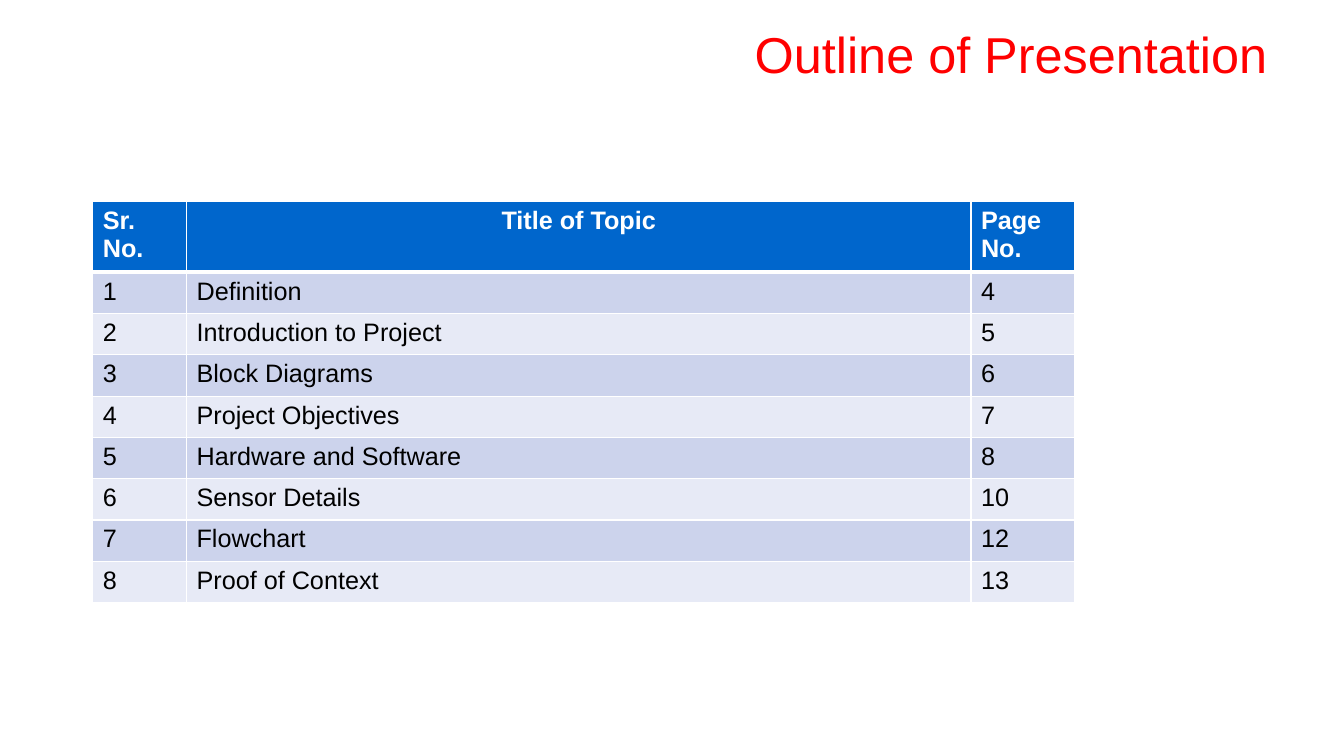
from dataclasses import dataclass
from typing import NamedTuple

from lxml.etree import SubElement
from pptx import Presentation
from pptx.dml.color import RGBColor
from pptx.enum.text import MSO_ANCHOR as Anchor, PP_ALIGN as Align
from pptx.oxml.ns import qn
from pptx.slide import Slide
from pptx.table import _Cell as Cell
from pptx.text.text import _Paragraph as Paragraph
from pptx.util import Inches, Pt


@dataclass(frozen=True)
class Theme:
    """Colours, font and type sizes of the slide."""
    font: str = "Arial"
    title_size: int = 36
    table_size: int = 18
    title: str = "FF0000"
    header: str = "0066CC"
    header_text: str = "FFFFFF"
    body_text: str = "000000"
    bands: tuple[str, str] = ("CCD3EC", "E7EAF6")
    border: str = "FFFFFF"
    thin: int = 1
    thick: int = 3


class Topic(NamedTuple):
    """One entry of the outline."""
    title: str
    page: int


THEME = Theme()
HEADINGS = ("Sr. No.", "Title of Topic", "Page No.")
COLUMN_WIDTHS = (0.93, 7.78, 1.03)
HEADER_HEIGHT, ROW_HEIGHT = 0.7, 0.41
TOPICS = (
    Topic("Definition", 4),
    Topic("Introduction to Project", 5),
    Topic("Block Diagrams", 6),
    Topic("Project Objectives", 7),
    Topic("Hardware and Software", 8),
    Topic("Sensor Details", 10),
    Topic("Flowchart", 12),
    Topic("Proof of Context", 13),
)


def write(paragraph: Paragraph, text: str, size: int, color: str,
          bold: bool = False, align: Align = Align.LEFT) -> None:
    """Put styled text into a paragraph."""
    paragraph.text = text
    paragraph.alignment = align
    paragraph.font.name = THEME.font
    paragraph.font.size = Pt(size)
    paragraph.font.bold = bold
    paragraph.font.color.rgb = RGBColor.from_string(color)


def add_borders(cell: Cell, top: int, bottom: int) -> None:
    """Draw the four borders of a cell, with widths in points."""
    properties = cell._tc.get_or_add_tcPr()
    widths = {"a:lnL": THEME.thin, "a:lnR": THEME.thin, "a:lnT": top, "a:lnB": bottom}
    for tag, width in widths.items():
        line = SubElement(properties, qn(tag), w=str(Pt(width)))
        fill = SubElement(line, qn("a:solidFill"))
        SubElement(fill, qn("a:srgbClr"), val=THEME.border)


def add_title(slide: Slide, text: str) -> None:
    """Add the right-aligned slide title."""
    box = slide.shapes.add_textbox(Inches(0.67), Inches(0.21), Inches(12), Inches(0.64))
    frame = box.text_frame
    frame.word_wrap = True
    frame.vertical_anchor = Anchor.MIDDLE
    write(frame.paragraphs[0], text, THEME.title_size, THEME.title, align=Align.RIGHT)


def add_outline(slide: Slide, topics: tuple[Topic, ...]) -> None:
    """Add the table of numbered topics and their pages."""
    rows = [HEADINGS] + [
        (str(number), topic.title, str(topic.page))
        for number, topic in enumerate(topics, start=1)
    ]
    heights = [HEADER_HEIGHT] + [ROW_HEIGHT] * len(topics)
    table = slide.shapes.add_table(
        len(rows), len(HEADINGS), Inches(0.92), Inches(2),
        Inches(sum(COLUMN_WIDTHS)), Inches(sum(heights)),
    ).table
    for column, width in zip(table.columns, COLUMN_WIDTHS):
        column.width = Inches(width)
    for row, height in zip(table.rows, heights):
        row.height = Inches(height)

    for row_index, texts in enumerate(rows):
        is_header = row_index == 0
        background = THEME.header if is_header else THEME.bands[(row_index - 1) % 2]
        color = THEME.header_text if is_header else THEME.body_text
        top = THEME.thick if row_index == 1 else THEME.thin
        bottom = THEME.thick if is_header else THEME.thin
        for column_index, text in enumerate(texts):
            cell = table.cell(row_index, column_index)
            add_borders(cell, top, bottom)
            cell.fill.solid()
            cell.fill.fore_color.rgb = RGBColor.from_string(background)
            align = Align.CENTER if is_header and column_index == 1 else Align.LEFT
            write(cell.text_frame.paragraphs[0], text, THEME.table_size, color,
                  is_header, align)


def main() -> None:
    """Build and save the slide."""
    presentation = Presentation()
    presentation.slide_width = Inches(13.33)
    presentation.slide_height = Inches(7.5)
    slide = presentation.slides.add_slide(presentation.slide_layouts[6])
    add_title(slide, "Outline of Presentation")
    add_outline(slide, TOPICS)
    presentation.save("out.pptx")


main()
